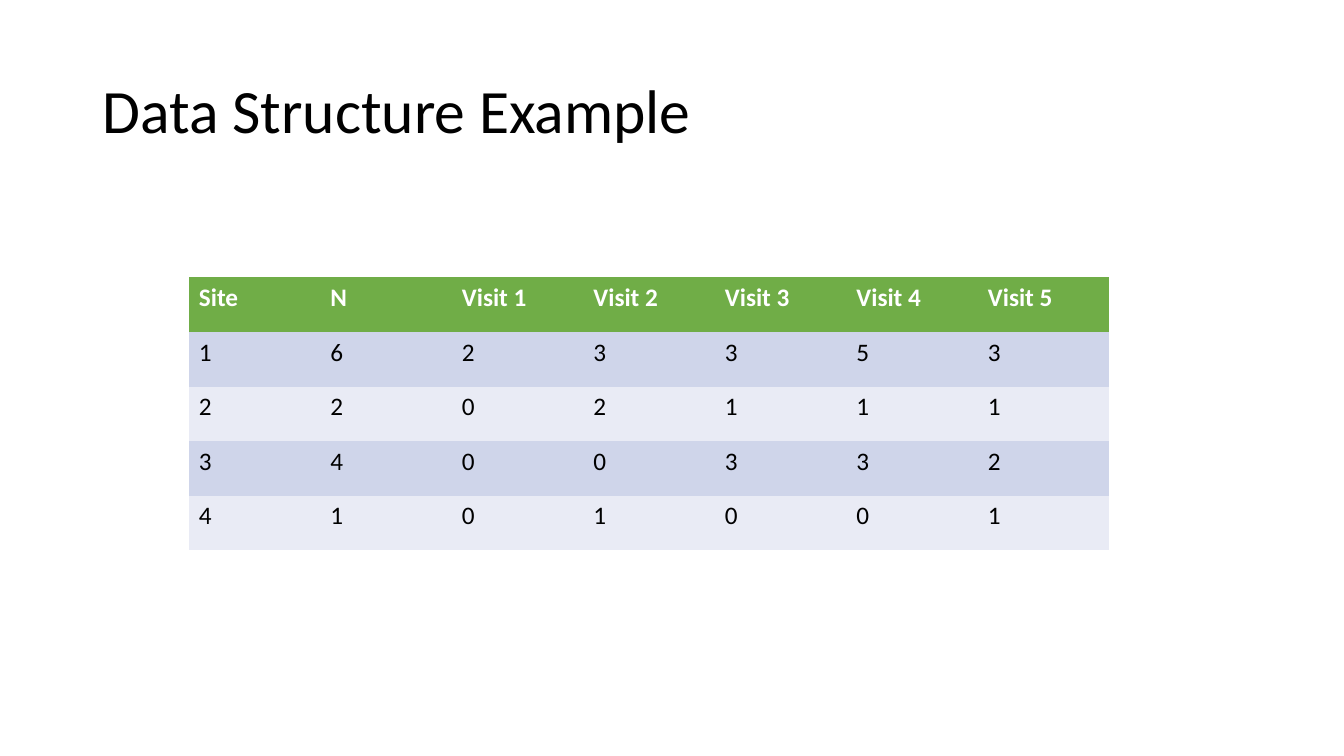
"""Build a slide with a table of visit counts per study site."""
import pptx
import pptx.dml.color
import pptx.enum.text
import pptx.oxml.ns
import pptx.util

HEADING = "Data Structure Example"
COLUMNS = ["Site", "N"] + [f"Visit {number}" for number in range(1, 6)]
SITES = [
    (1, 6, 2, 3, 3, 5, 3),
    (2, 2, 0, 2, 1, 1, 1),
    (3, 4, 0, 0, 3, 3, 2),
    (4, 1, 0, 1, 0, 0, 1),
]
THEME = {
    "font": "Calibri",
    "heading_size": 44,
    "table_size": 18,
    "text": "000000",
    "header_text": "FFFFFF",
    "header_fill": "70AD47",
    "bands": ("CFD5EA", "E9EBF5"),
    "table_style": "{2D5ABB26-0587-4C30-8999-92F81FD0307C}",
}
Cm = pptx.util.Cm


def rgb(value):
    """Turn a hex string into a colour."""
    return pptx.dml.color.RGBColor.from_string(value)


def write(frame, text, size, color=THEME["text"], bold=False, spacing=1.0):
    """Write one formatted paragraph into a text frame."""
    paragraph = frame.paragraphs[0]
    paragraph.line_spacing = spacing
    run = paragraph.add_run()
    run.text = str(text)
    run.font.name = THEME["font"]
    run.font.size = pptx.util.Pt(size)
    run.font.bold = bold
    run.font.color.rgb = rgb(color)


def add_heading(slide):
    """Place the slide heading."""
    frame = slide.shapes.add_textbox(Cm(2.33), Cm(1.01), Cm(29.21), Cm(3.68)).text_frame
    frame.word_wrap = True
    frame.vertical_anchor = pptx.enum.text.MSO_ANCHOR.MIDDLE
    write(frame, HEADING, THEME["heading_size"], spacing=0.9)


def add_visits(slide):
    """Place the table with a header and banded site rows."""
    rows = [COLUMNS, *SITES]
    visits = slide.shapes.add_table(
        len(rows), len(COLUMNS), Cm(4.76), Cm(6.99), Cm(23.2), Cm(6.88)
    ).table
    style_id = visits._tbl.tblPr.find(pptx.oxml.ns.qn("a:tableStyleId"))
    style_id.text = THEME["table_style"]
    for row_index, row in enumerate(rows):
        header = row_index == 0
        fill = THEME["header_fill"] if header else THEME["bands"][(row_index - 1) % 2]
        color = THEME["header_text"] if header else THEME["text"]
        for column_index, value in enumerate(row):
            cell = visits.cell(row_index, column_index)
            cell.fill.solid()
            cell.fill.fore_color.rgb = rgb(fill)
            write(cell.text_frame, value, THEME["table_size"], color=color, bold=header)


def main():
    """Create and save the presentation."""
    deck = pptx.Presentation()
    deck.slide_width, deck.slide_height = Cm(33.87), Cm(19.05)
    slide = deck.slides.add_slide(deck.slide_layouts[6])
    add_heading(slide)
    add_visits(slide)
    deck.save("out.pptx")


if __name__ == "__main__":
    main()
